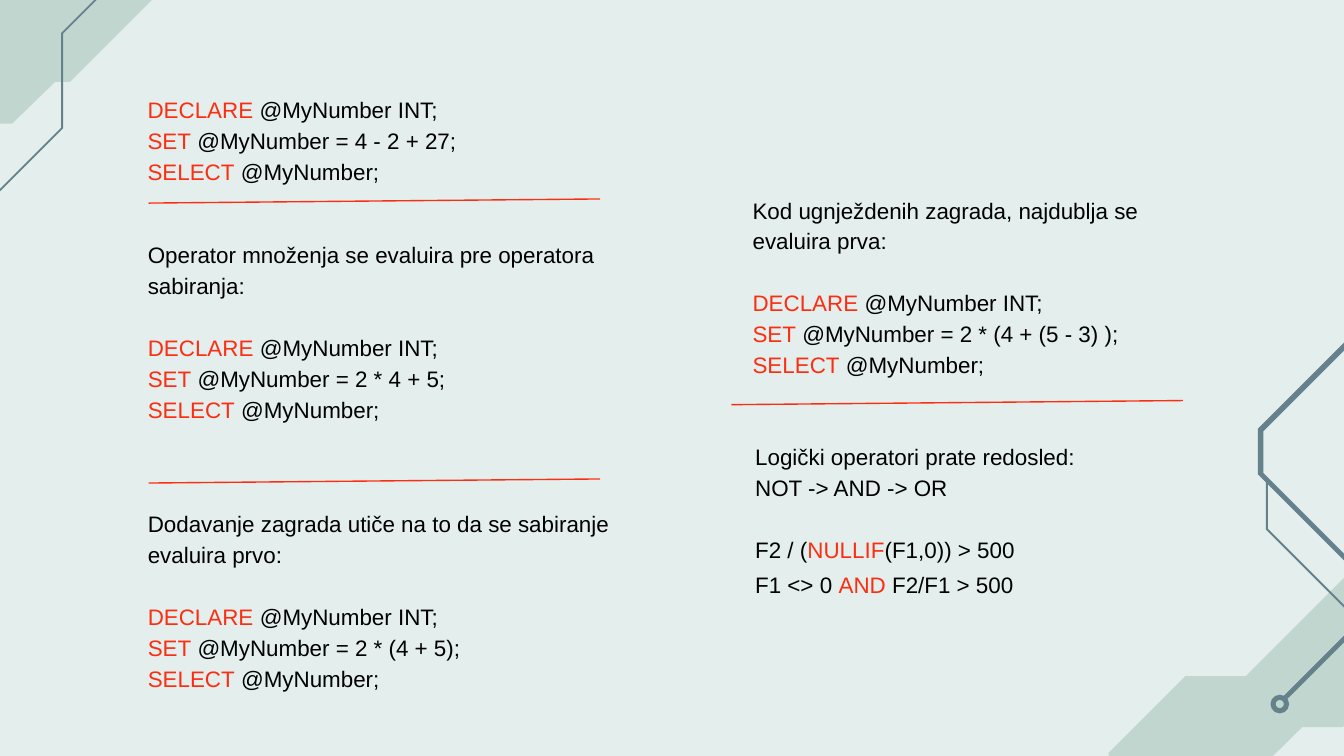
import pptx
import pptx.dml.color
import pptx.enum.shapes
import pptx.enum.text
import pptx.oxml.ns
import pptx.util

Pt = pptx.util.Pt
RGBColor = pptx.dml.color.RGBColor

BACKGROUND = RGBColor(0xE3, 0xEE, 0xED)
SAGE = RGBColor(0xC1, 0xD6, 0xCE)
SLATE = RGBColor(0x64, 0x81, 0x8C)
RED = RGBColor(0xFC, 0x2E, 0x12)
BLACK = RGBColor(0, 0, 0)

WIDTH, HEIGHT = 720, 405
BLANK_LINE = 16.6

# Content: bars enclose the red words; each text is a list of groups of lines
DECLARE = "|DECLARE| @MyNumber INT;"
ASSIGN = "|SET| @MyNumber = "
SELECT = "|SELECT| @MyNumber;"

# left, top, width, height, groups
TEXTS = [
    (72, 42.2, 236, 62.6, [[DECLARE, ASSIGN + "4 - 2 + 27;", SELECT]]),
    (72.1, 120, 286.6, 113, [
        ["Operator množenja se evaluira pre operatora sabiranja:"],
        [DECLARE, ASSIGN + "2 * 4 + 5;", SELECT]]),
    (72.1, 264.1, 283.7, 113, [
        ["Dodavanje zagrada utiče na to da se sabiranje evaluira prvo:"],
        [DECLARE, ASSIGN + "2 * (4 + 5);", SELECT]]),
    (396.1, 96, 236, 113, [
        ["Kod ugnježdenih zagrada, najdublja se evaluira prva:"],
        [DECLARE, ASSIGN + "2 * (4 + (5 - 3) );", SELECT]]),
    (397.5, 228, 236, 95.8, [
        ["Logički operatori prate redosled:", "NOT -> AND -> OR"],
        ["F2 / (|NULLIF|(F1,0)) > 500", "F1 <> 0 |AND| F2/F1 > 500"]]),
]

# Left end of each divider
DIVIDERS = [(79.6, 108.8), (79.6, 258.8), (391.8, 216.8)]
DIVIDER_WIDTH, DIVIDER_RISE = 241.9, 2.2

# Corner decorations, bleeding over the slide edges
CORNERS = [
    (SAGE, [(85.7, -51.8), (46.8, -13), (11.5, -13), (-67.7, 66.2), (6.5, 66.2),
            (29.5, 43.9), (37.4, 43.9), (133.2, -51.8)]),
    (SLATE, [(87.1, -36.7), (32.8, 17.6), (32.8, 68.4), (-8.6, 109.8),
             (-7.9, 110.5), (33.8, 68.8), (33.8, 18), (87.8, -36)]),
    (SAGE, [(739.4, 290.2), (667.4, 362.2), (635, 362.2), (594, 403.2),
            (594, 421.9), (568.1, 447.8), (638.6, 447.8), (697.7, 389.5),
            (719.3, 389.5), (761.8, 347), (761.8, 335.5), (807.1, 290.2)]),
    (SLATE, [(877, 82.8), (807.1, 152.6), (751, 152.6), (673.9, 229.7),
             (673.9, 254.2), (720.7, 301), (720.7, 339.8), (686.2, 374.4),
             (688.3, 375.8), (723.6, 340.6), (723.6, 300.2), (676.8, 253.4),
             (676.8, 231.1), (752.4, 155.5), (806.4, 155.5), (879.1, 85)]),
    (SLATE, [(678.2, 257), (678.2, 283.7), (721.4, 326.9),
             (722.2, 326.2), (679.3, 283.3), (679.3, 257)]),
]
RING = (680.6, 372.2, 10, 10)


def paint(shape, color):
    shape.shadow.inherit = False
    shape.fill.solid()
    shape.fill.fore_color.rgb = color
    shape.line.fill.background()


def add_outline(page, points, color):
    corners = [(Pt(x), Pt(y)) for x, y in points]
    builder = page.shapes.build_freeform(*corners[0], scale=1.0)
    builder.add_line_segments(corners[1:], close=True)
    paint(builder.convert_to_shape(), color)


def add_divider(page, left, bottom):
    divider = page.shapes.add_connector(
        pptx.enum.shapes.MSO_CONNECTOR.STRAIGHT, Pt(left), Pt(bottom),
        Pt(left + DIVIDER_WIDTH), Pt(bottom - DIVIDER_RISE))
    divider.line.color.rgb = RED
    divider.line.width = Pt(0.75)
    properties = divider._element.spPr
    properties.append(properties.makeelement(pptx.oxml.ns.qn("a:effectLst"), {}))


def add_text(page, groups, *, left, top, width, height, size=12, font="Arial",
             spacing=1.15, color=BLACK, accent=RED):
    box = page.shapes.add_textbox(Pt(left), Pt(top), Pt(width), Pt(height))
    frame = box.text_frame
    frame.word_wrap = True
    frame.auto_size = pptx.enum.text.MSO_AUTO_SIZE.SHAPE_TO_FIT_TEXT
    frame.margin_left = frame.margin_right = Pt(7.2)
    frame.margin_top = frame.margin_bottom = Pt(7.2)
    first = True
    for group_number, group in enumerate(groups):
        for line_number, line in enumerate(group):
            para = frame.paragraphs[0] if first else frame.add_paragraph()
            first = False
            para.line_spacing = spacing
            if group_number and line_number == 0:
                para.space_before = Pt(BLANK_LINE)
            if line.startswith("F1"):  # the closing formula is set looser
                para.line_spacing = 1.3
            for number, words in enumerate(line.split("|")):
                if words:
                    span = para.add_run()
                    span.text = words
                    span.font.name = font
                    span.font.size = Pt(size)
                    span.font.color.rgb = accent if number % 2 else color


def main():
    deck = pptx.Presentation()
    deck.slide_width, deck.slide_height = Pt(WIDTH), Pt(HEIGHT)
    page = deck.slides.add_slide(deck.slide_layouts[6])
    page.background.fill.solid()
    page.background.fill.fore_color.rgb = BACKGROUND

    # Decorations
    for color, points in CORNERS:
        add_outline(page, points, color)
    ring = page.shapes.add_shape(
        pptx.enum.shapes.MSO_SHAPE.DONUT, *[Pt(value) for value in RING])
    ring.adjustments[0] = 0.28
    paint(ring, SLATE)

    # Texts and dividers
    for left, top, width, height, groups in TEXTS:
        add_text(page, groups, left=left, top=top, width=width, height=height)
    for left, bottom in DIVIDERS:
        add_divider(page, left, bottom)

    deck.save("out.pptx")


if __name__ == "__main__":
    main()
